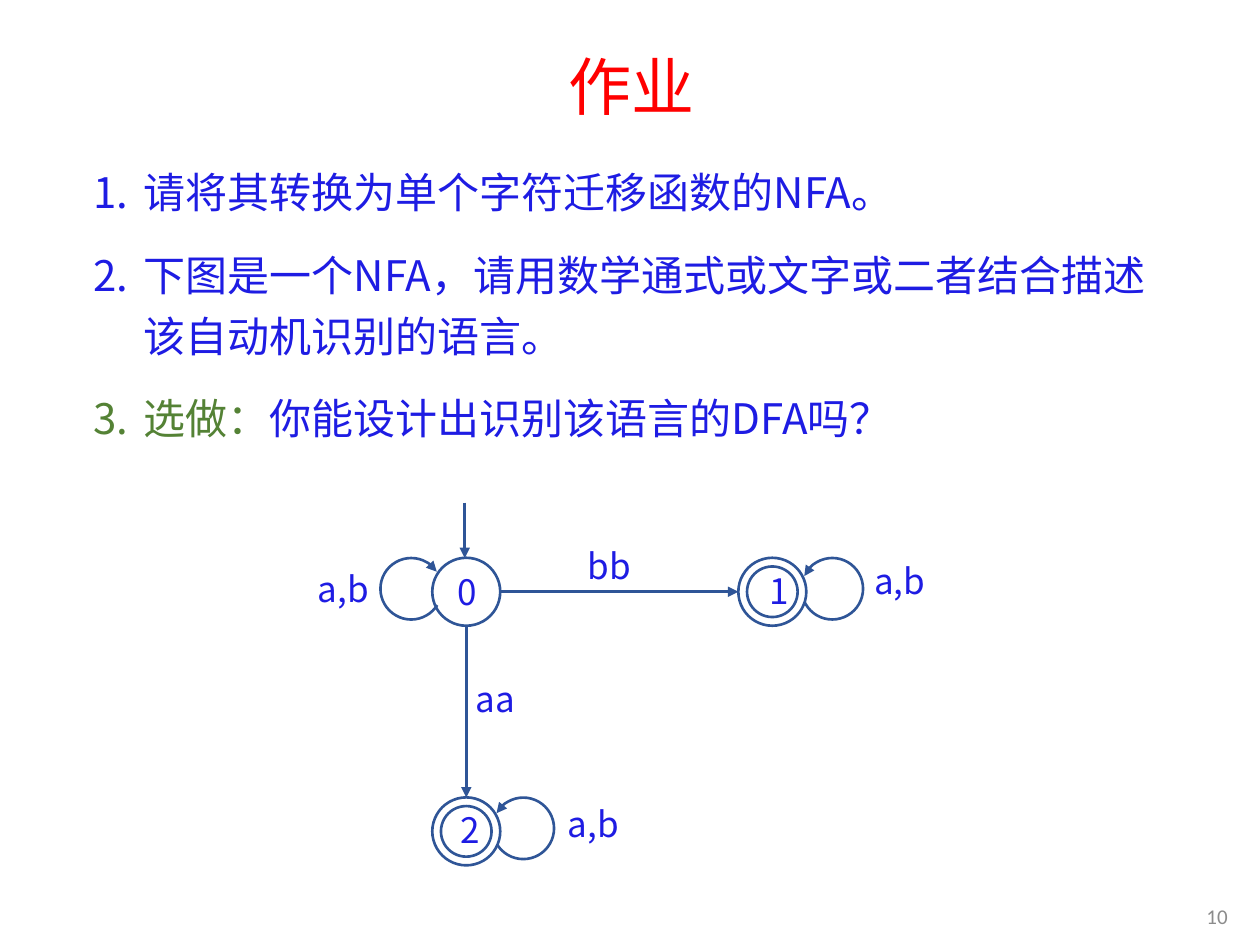
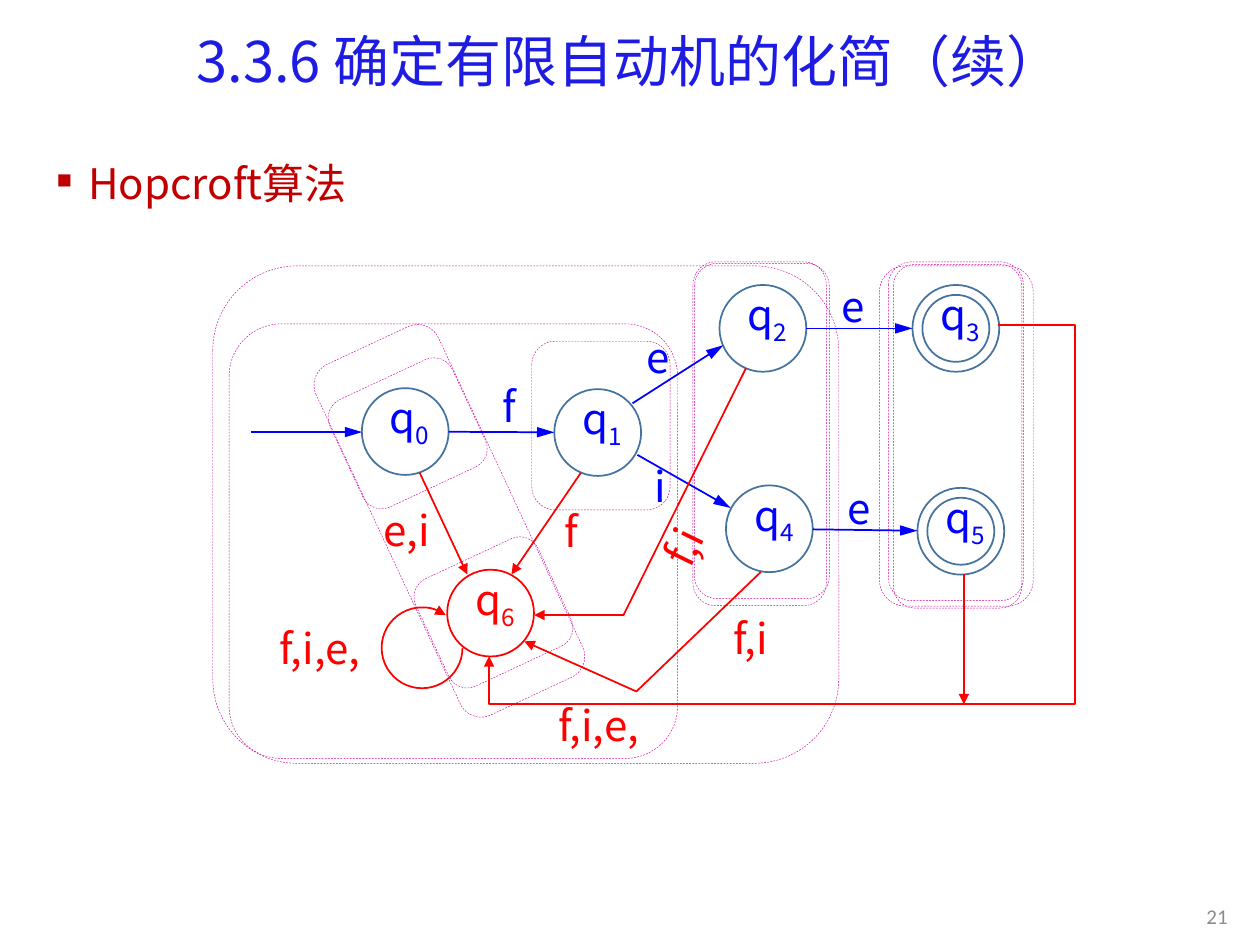
import math
import lxml.etree
import pptx
import pptx.dml.color
import pptx.enum.dml
import pptx.enum.shapes
import pptx.enum.text
import pptx.oxml.ns
import pptx.util

Cm = pptx.util.Cm
Pt = pptx.util.Pt
SHAPE = pptx.enum.shapes.MSO_SHAPE
ALIGN = pptx.enum.text.PP_ALIGN
ANCHOR = pptx.enum.text.MSO_ANCHOR
qn = pptx.oxml.ns.qn

SANS, HEAD, PAGE = "Noto Sans CJK SC", "Noto Sans CJK JP", "Calibri"
INK, RED, GREEN, DARK = "1E1CE3", "FF0000", "548235", "C00000"
BLUE, NAVY, STEEL, PINK, GRAY = "0000FF", "2F5597", "43739E", "CC0099", "8C8C8C"

TASK = {
    "title": ("作业", 36, RED, (1.78, 0.76, 21.89, 2.13)),
    "body": (1.63, 3.02, 21.89, 6.02),
    "items": [
        [("请将其转换为单个字符迁移函数的NFA。", INK)],
        [("下图是一个NFA，请用数学通式或文字或二者结合描述该自动机识别的语言。", INK)],
        [("选做：", GREEN), ("你能设计出识别该语言的DFA吗？", INK)],
    ],
    "mark": ("buAutoNum", {"type": "arabicPeriod"}, None, 1.02),
    "page": "10",
}
HOP = {
    "title": ("3.3.6 确定有限自动机的化简（续）", 32, INK, (1.75, 0.51, 21.89, 1.57)),
    "body": (0.89, 2.84, 6.68, 1.5),
    "items": [[("Hopcroft算法", DARK)]],
    "mark": ("buChar", {"char": "■"}, 50, 0.64),
    "page": "21",
}

NFA = {
    "0": (9.4, 11.93, (0.3, 0.13)),
    "1": (15.57, 11.93, (0.3, 0.2)),
    "2": (9.4, 16.76, (0.25, 0.2)),
}
NFA_ENDS = "12"
NFA_EDGES = ["01", "02"]
NFA_LOOPS = [
    (8.29, 11.87, 32.1, 326.3, "tailEnd"),
    (16.78, 11.87, 204.3, 154.2, "headEnd"),
    (10.55, 16.7, 209.5, 148.6, "headEnd"),
]
NFA_TAGS = [
    ("a,b", 6.92, 11.87), ("a,b", 18.14, 11.7), ("a,b", 11.96, 16.6),
    ("bb", 12.29, 11.39), ("aa", 9.99, 14.08),
]

DFA = {
    "0": (8.17, 8.7), "1": (12.05, 8.72), "2": (15.38, 6.62), "3": (19.27, 6.62),
    "4": (15.51, 10.66), "5": (19.37, 10.71), "6": (9.89, 12.36),
}
DFA_ENDS = "35"
DFA_EDGES = ["01", "23", "45"]
BLUE_LINES = [
    [(5.05, 8.71), (7.3, 8.71)],
    [(12.75, 8.13), (14.58, 6.96)],
    [(12.85, 9.17), (14.73, 10.24)],
]
RED_LINES = [
    [(8.46, 9.53), (9.42, 11.58)],
    [(11.71, 9.53), (10.31, 11.58)],
    [(19.43, 11.58), (19.43, 14.2)],
    [(15.04, 7.42), (12.57, 12.4), (10.77, 12.4)],
    [(15.34, 11.53), (12.83, 13.94), (10.57, 12.93)],
    [(20.12, 6.55), (21.67, 6.55), (21.67, 14.2), (9.86, 14.2), (9.86, 13.23)],
]
DFA_TAGS = [
    ("e", 13.26, 7.19, BLUE, 0), ("f", 10.26, 8.18, BLUE, 0),
    ("i", 13.31, 9.8, BLUE, 0), ("e", 17.32, 10.24, BLUE, 0),
    ("e", 17.2, 6.17, BLUE, 0), ("e,i", 8.2, 10.67, RED, 0),
    ("f", 11.51, 10.69, RED, 0), ("f,i", 13.77, 11.02, RED, 296),
    ("f,i,e,", 12.07, 14.6, RED, 0), ("f,i,e,", 6.45, 13.06, RED, 0),
    ("f,i", 15.14, 12.85, RED, 0),
]
SETS = [
    (4.29, 5.36, 12.62, 10.03, 0, 0.17), (17.73, 5.36, 3.1, 6.86, 0, 0.17),
    (4.62, 6.53, 9.04, 8.76, 0, 0.12), (13.97, 5.28, 2.69, 6.93, 0, 0.17),
    (18.01, 5.33, 2.59, 6.93, 0, 0.17), (10.72, 6.88, 2.79, 3.4, 0, 0.17),
    (14, 5.31, 2.72, 6.76, 0, 0.17), (17.91, 5.28, 2.72, 6.83, 0, 0.17),
    (6.86, 7.54, 2.72, 2.39, 335, 0.17), (8.59, 11.15, 2.72, 2.39, 335, 0.17),
    (7.7, 6.6, 2.72, 7.8, 335, 0.17),
]


def tint(code):
    return pptx.dml.color.RGBColor.from_string(code)


def put(item, vals):
    for name, val in vals.items():
        setattr(item, name, val)


def node(root, tag, **vals):
    return lxml.etree.SubElement(root, qn("a:" + tag), vals)


def write(para, text, size, color, font=SANS, base=None):
    run = para.add_run()
    run.text = text
    run.font.color.rgb = tint(color)
    put(run.font, {"size": Pt(size), "name": font})
    props = run._r.get_or_add_rPr()
    node(props, "ea", typeface=font)
    if base:
        props.set("baseline", str(base))


def frame(slide, box, align, anchor):
    shape = slide.shapes.add_textbox(*map(Cm, box))
    put(shape.text_frame, {"word_wrap": True, "vertical_anchor": anchor})
    para = shape.text_frame.paragraphs[0]
    para.alignment = align
    return shape, para


def tag(slide, x, y, size, color, text, sub="", turn=0):
    wide, high = 3.25, 1.3
    box = (x - wide / 2, y - high / 2, wide, high)
    shape, para = frame(slide, box, ALIGN.CENTER, ANCHOR.MIDDLE)
    shape.rotation = turn
    write(para, text, size, color)
    if sub:
        write(para, sub, size, color, base=-25000)


def pen(shape, color, width, end=None, long="med"):
    shape.line.color.rgb = tint(color)
    shape.line.width = Pt(width)
    if end:
        node(shape.element.spPr.find(qn("a:ln")), end, type="triangle", len=long)


def draw(slide, kind, box, color, width, end=None, angles=()):
    shape = slide.shapes.add_shape(kind, *map(Cm, box))
    shape.fill.background()
    shape.shadow.inherit = False
    for i, val in enumerate(angles):
        shape.adjustments[i] = val
    pen(shape, color, width, end)
    return shape


def ring(slide, x, y, size, color, width):
    box = (x - size / 2, y - size / 2, size, size)
    return draw(slide, SHAPE.OVAL, box, color, width)


def loop(slide, x, y, size, start, stop, color, width, end):
    box = (x - size / 2, y - size / 2, size, size)
    angles = [deg * 0.6 for deg in (start, stop)]
    draw(slide, SHAPE.ARC, box, color, width, end, angles)


def track(slide, points, color, width, long="med"):
    spots = [(Cm(x), Cm(y)) for x, y in points]
    if len(spots) == 2:
        kind = pptx.enum.shapes.MSO_CONNECTOR.STRAIGHT
        shape = slide.shapes.add_connector(kind, *spots[0], *spots[1])
        pen(shape, color, width, "tailEnd", long)
        node(shape.element.spPr, "effectLst")
    else:
        path = slide.shapes.build_freeform(*spots[0])
        path.add_line_segments(spots[1:], close=False)
        shape = path.convert_to_shape()
        shape.fill.background()
        shape.shadow.inherit = False
        pen(shape, color, width, "tailEnd", long)


def edge(first, last, size):
    (x1, y1), (x2, y2) = first[:2], last[:2]
    part = size / 2 / math.hypot(x2 - x1, y2 - y1)
    dx, dy = (x2 - x1) * part, (y2 - y1) * part
    return [(x1 + dx, y1 + dy), (x2 - dx, y2 - dy)]


def base(deck, data):
    slide = deck.slides.add_slide(deck.slide_layouts[6])
    text, size, color, box = data["title"]
    para = frame(slide, box, ALIGN.CENTER, ANCHOR.MIDDLE)[1]
    para.line_spacing = 0.9
    write(para, text, size, color, HEAD)

    shape, para = frame(slide, data["body"], ALIGN.LEFT, ANCHOR.TOP)
    name, attrs, scale, indent = data["mark"]
    for i, runs in enumerate(data["items"]):
        para = shape.text_frame.add_paragraph() if i else para
        put(para, {"line_spacing": Pt(35), "space_before": Pt(6 if i else 0),
                   "space_after": Pt(6)})
        props = para._p.get_or_add_pPr()
        props.set("marL", str(Cm(indent)))
        props.set("indent", str(-Cm(indent)))
        if scale:
            node(props, "buSzPct", val=str(scale * 1000))
        node(props, name, **attrs)
        for words, color in runs:
            write(para, words, 24, color)

    para = frame(slide, (22.94, 17.96, 2.06, 1.02), ALIGN.RIGHT, ANCHOR.MIDDLE)[1]
    write(para, data["page"], 12, GRAY, PAGE)
    return slide


def task(deck):
    slide = base(deck, TASK)
    size, inner, width = 1.37, 1.02, 1.5
    for name, (x, y, (left, low)) in NFA.items():
        shape = ring(slide, x, y, size, NAVY, width)
        if name in NFA_ENDS:
            shape = ring(slide, x, y, inner, NAVY, width)
        put(shape.text_frame, {
            "margin_left": Cm(left), "margin_right": Cm(0.25),
            "margin_top": Cm(0.13), "margin_bottom": Cm(low),
            "vertical_anchor": ANCHOR.MIDDLE, "word_wrap": True})
        para = shape.text_frame.paragraphs[0]
        para.alignment = ALIGN.CENTER
        write(para, name, 20, INK)
    for x, y, start, stop, end in NFA_LOOPS:
        loop(slide, x, y, 1.24, start, stop, NAVY, width, end)
    for a, b in NFA_EDGES:
        track(slide, edge(NFA[a], NFA[b], size), NAVY, width)
    track(slide, [(9.37, 10.13), (9.37, 11.25)], NAVY, width)
    for text, x, y in NFA_TAGS:
        tag(slide, x, y, 20, INK, text)


def hop(deck):
    slide = base(deck, HOP)
    size, inner = 1.75, 1.35
    for *box, turn, bend in SETS:
        shape = draw(slide, SHAPE.ROUNDED_RECTANGLE, box, PINK, 0.25, angles=[bend])
        shape.rotation = turn
        shape.line.dash_style = pptx.enum.dml.MSO_LINE.DASH
    for name, (x, y) in DFA.items():
        trap = name == "6"
        ring(slide, x, y, size, RED if trap else STEEL, 1)
        if name in DFA_ENDS:
            ring(slide, x, y, inner, STEEL, 1)
        tag(slide, x + 0.09, y - 0.22, 24, RED if trap else BLUE, "q", name)
    for points in BLUE_LINES + [edge(DFA[a], DFA[b], size) for a, b in DFA_EDGES]:
        track(slide, points, BLUE, 1, "lg")
    for points in RED_LINES:
        track(slide, points, RED, 1)
    loop(slide, 8.51, 13.06, 1.63, 0.3, 305.8, RED, 1, "tailEnd")
    for text, x, y, color, turn in DFA_TAGS:
        tag(slide, x, y, 24, color, text, turn=turn)


def main():
    deck = pptx.Presentation()
    put(deck, {"slide_width": Cm(25.4), "slide_height": Cm(19.05)})
    task(deck)
    hop(deck)
    deck.save("out.pptx")


if __name__ == "__main__":
    main()
